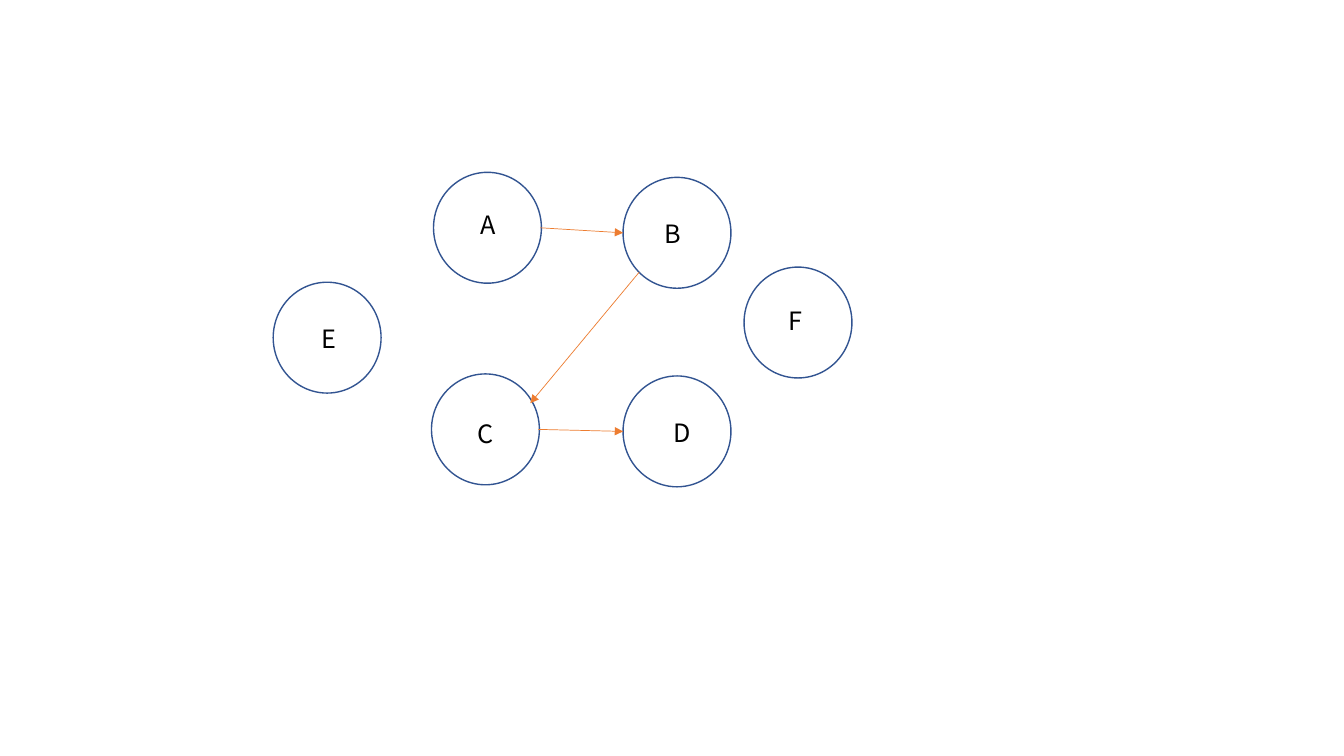
"""Build a slide with a graph of six labelled nodes and three arrows."""
from pptx import Presentation
from pptx.dml.color import RGBColor as RGB
from pptx.enum.shapes import MSO_CONNECTOR as LINK, MSO_SHAPE as SHAPE
from pptx.enum.text import MSO_AUTO_SIZE as FIT
from pptx.oxml.ns import qn
from pptx.util import Inches, Pt
from lxml.etree import SubElement

HUES = {"ring": "325491", "arrow": "ED7D31", "text": "000000"}
FONT = "Noto Sans CJK SC"
WIDE, HIGH = 1.07, 1.1

NODES = [
    ("A", (4.3, 1.71), (4.67, 2.03), 0.36),
    ("B", (6.18, 1.76), (6.49, 2.12), 0.34),
    ("C", (4.28, 3.71), (4.64, 4.1), 0.36),
    ("D", (6.18, 3.73), (6.58, 4.09), 0.38),
    ("E", (2.71, 2.8), (3.09, 3.16), 0.33),
    ("F", (7.38, 2.65), (7.72, 2.98), 0.32),
]
EDGES = [
    (5.36, 2.26, 6.18, 2.31),
    (6.34, 2.7, 5.26, 4),
    (5.34, 4.26, 6.18, 4.28),
]

deck = Presentation()
deck.slide_width, deck.slide_height = Inches(13.33), Inches(7.5)
slide = deck.slides.add_slide(deck.slide_layouts[6])
shapes = slide.shapes

for name, (left, top), (x, y), width in NODES:
    ring = shapes.add_shape(SHAPE.OVAL, Inches(left), Inches(top),
                            Inches(WIDE), Inches(HIGH))
    ring.shadow.inherit = False
    ring.fill.background()
    ring.line.color.rgb = RGB.from_string(HUES["ring"])
    ring.line.width = Pt(1)

    label = shapes.add_textbox(Inches(x), Inches(y), Inches(width), Inches(0.4))
    frame = label.text_frame
    frame.word_wrap = False
    frame.auto_size = FIT.SHAPE_TO_FIT_TEXT
    frame.text = name
    font = frame.paragraphs[0].runs[0].font
    font.name, font.size = FONT, Pt(18)
    font.color.rgb = RGB.from_string(HUES["text"])

for edge in EDGES:
    arrow = shapes.add_connector(LINK.STRAIGHT, *map(Inches, edge))
    arrow.line.color.rgb = RGB.from_string(HUES["arrow"])
    arrow.line.width = Pt(0.5)
    SubElement(arrow.line._get_or_add_ln(), qn("a:tailEnd"), type="triangle")
    SubElement(arrow._element.spPr, qn("a:effectLst"))

deck.save("out.pptx")
